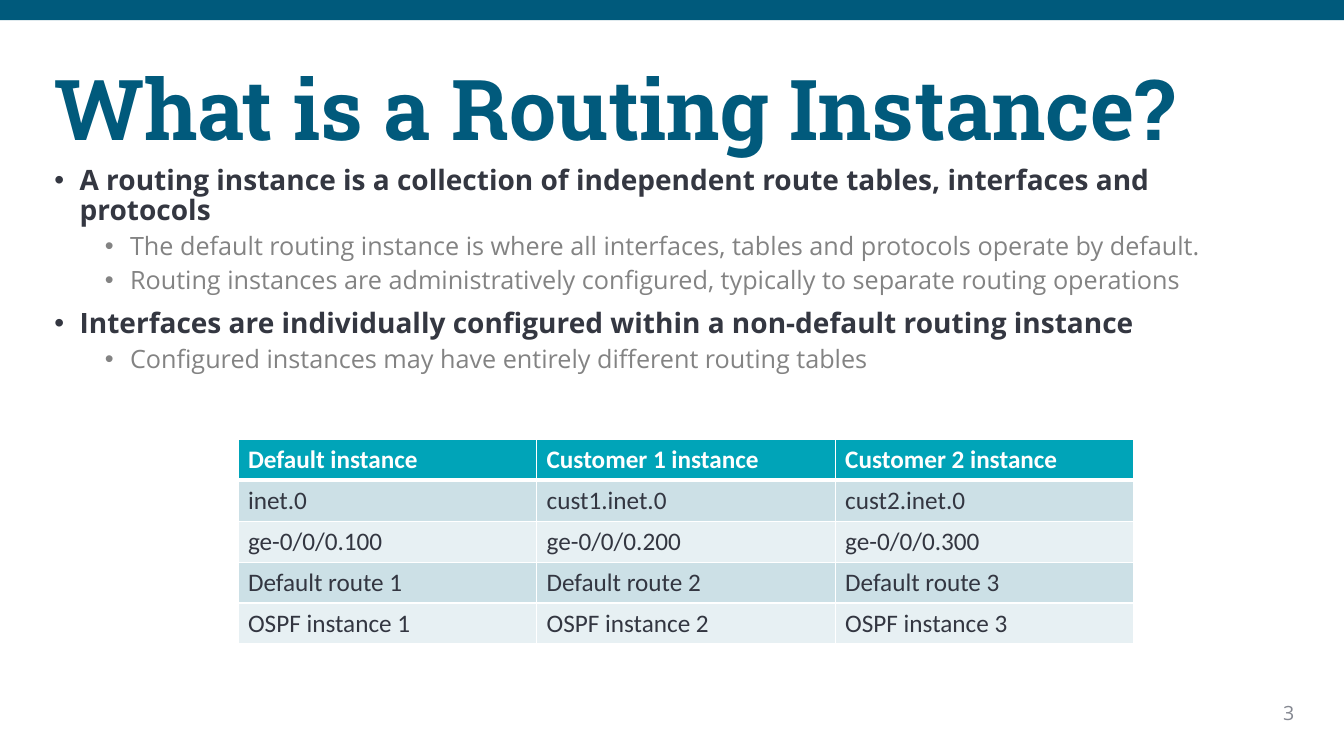
"""Build the slide that explains routing instances with a bullet list and a table."""
import lxml.etree
import pptx
import pptx.dml.color
import pptx.enum.shapes
import pptx.enum.text
import pptx.oxml.ns
import pptx.util

Pt = pptx.util.Pt
Align = pptx.enum.text.PP_ALIGN
Anchor = pptx.enum.text.MSO_ANCHOR
qn = pptx.oxml.ns.qn

THEME = {
    "bar": "005A7C",
    "header": "00A4B8",
    "bands": ("CCE0E6", "E7F0F3"),
    "border": "FFFFFF",
    "title": {"name": "Roboto Slab", "size": Pt(60), "bold": True, "color": "015A7C"},
    "point": {"name": "Open Sans", "size": Pt(20), "bold": True, "color": "343741"},
    "detail": {"name": "Open Sans", "size": Pt(18), "bold": False, "color": "838383"},
    "number": {"name": "Open Sans", "size": Pt(14), "bold": False, "color": "858891"},
    "head_cell": {"name": "Calibri", "size": Pt(18), "bold": True, "color": "FFFFFF"},
    "body_cell": {"name": "Calibri", "size": Pt(18), "bold": False, "color": "333641"},
}
POINTS = [
    (0, "A routing instance is a collection of independent route tables, interfaces and protocols"),
    (1, "The default routing instance is where all interfaces, tables and protocols operate by default."),
    (1, "Routing instances are administratively configured, typically to separate routing operations"),
    (0, "Interfaces are individually configured within a non-default routing instance"),
    (1, "Configured instances may have entirely different routing tables"),
]
ROWS = [
    ("Default instance", "Customer 1 instance", "Customer 2 instance"),
    ("inet.0", "cust1.inet.0", "cust2.inet.0"),
    ("ge-0/0/0.100", "ge-0/0/0.200", "ge-0/0/0.300"),
    ("Default route 1", "Default route 2", "Default route 3"),
    ("OSPF instance 1", "OSPF instance 2", "OSPF instance 3"),
]


def write(para, text, style, **layout):
    """Add one styled span to a paragraph and set the paragraph's layout."""
    span = para.add_run()
    span.text = text
    for name, value in style.items():
        if name == "color":
            span.font.color.rgb = pptx.dml.color.RGBColor.from_string(value)
        else:
            setattr(span.font, name, value)
    for name, value in layout.items():
        setattr(para, name, value)


def paint(target, color):
    """Give a shape or cell a solid fill."""
    target.fill.solid()
    target.fill.fore_color.rgb = pptx.dml.color.RGBColor.from_string(color)


deck = pptx.Presentation()
deck.slide_width, deck.slide_height = Pt(960), Pt(540)
page = deck.slides.add_slide(deck.slide_layouts[1])
title, body = page.placeholders

bar = page.shapes.add_shape(pptx.enum.shapes.MSO_SHAPE.RECTANGLE, 0, 0, Pt(960), Pt(14.4))
bar.shadow.inherit = False
bar.line.fill.background()
paint(bar, THEME["bar"])

number = page.shapes.add_textbox(0, 0, 0, 0)
boxes = [
    (title, (31.7, 28.8, 916.5, 104.4), Anchor.MIDDLE),
    (body, (31.7, 115.2, 890, 177.8), Anchor.TOP),
    (number, (885.6, 496.8, 46.1, 24.5), Anchor.TOP),
]
for box, place, anchor in boxes:
    box.left, box.top, box.width, box.height = map(Pt, place)
    frame_format = {
        "word_wrap": True,
        "auto_size": pptx.enum.text.MSO_AUTO_SIZE.NONE,
        "vertical_anchor": anchor,
    }
    for name, value in frame_format.items():
        setattr(box.text_frame, name, value)

write(title.text_frame.paragraphs[0], "What is a Routing Instance?", THEME["title"],
      alignment=Align.LEFT, line_spacing=0.9)
write(number.text_frame.paragraphs[0], "3", THEME["number"], alignment=Align.RIGHT)

for index, (level, text) in enumerate(POINTS):
    para = body.text_frame.add_paragraph() if index else body.text_frame.paragraphs[0]
    write(para, text, THEME["detail" if level else "point"], level=level,
          line_spacing=0.9, space_before=Pt(5 if level else 10), space_after=Pt(0))
    properties = para._p.get_or_add_pPr()
    properties.set("marL", str(Pt(18 + 36 * level)))
    properties.set("indent", str(-Pt(18)))
    lxml.etree.SubElement(properties, qn("a:buFont"), typeface="Arial")
    lxml.etree.SubElement(properties, qn("a:buChar"), char="•")

table = page.shapes.add_table(len(ROWS), 3, Pt(170), Pt(313.9), Pt(640), Pt(146)).table
for column in table.columns:
    column.width = Pt(213.3)
for row_index, texts in enumerate(ROWS):
    table.rows[row_index].height = Pt(29.2)
    is_header = row_index == 0
    fill = THEME["header"] if is_header else THEME["bands"][(row_index - 1) % 2]
    widths = {"L": 1, "R": 1, "T": 3 if row_index == 1 else 1, "B": 3 if is_header else 1}
    for column_index, text in enumerate(texts):
        cell = table.cell(row_index, column_index)
        write(cell.text_frame.paragraphs[0], text, THEME["head_cell" if is_header else "body_cell"])
        properties = cell._tc.get_or_add_tcPr()
        for side, width in widths.items():
            border = lxml.etree.SubElement(properties, qn("a:ln" + side), w=str(Pt(width)))
            solid = lxml.etree.SubElement(border, qn("a:solidFill"))
            lxml.etree.SubElement(solid, qn("a:srgbClr"), val=THEME["border"])
        paint(cell, fill)

deck.save("out.pptx")
